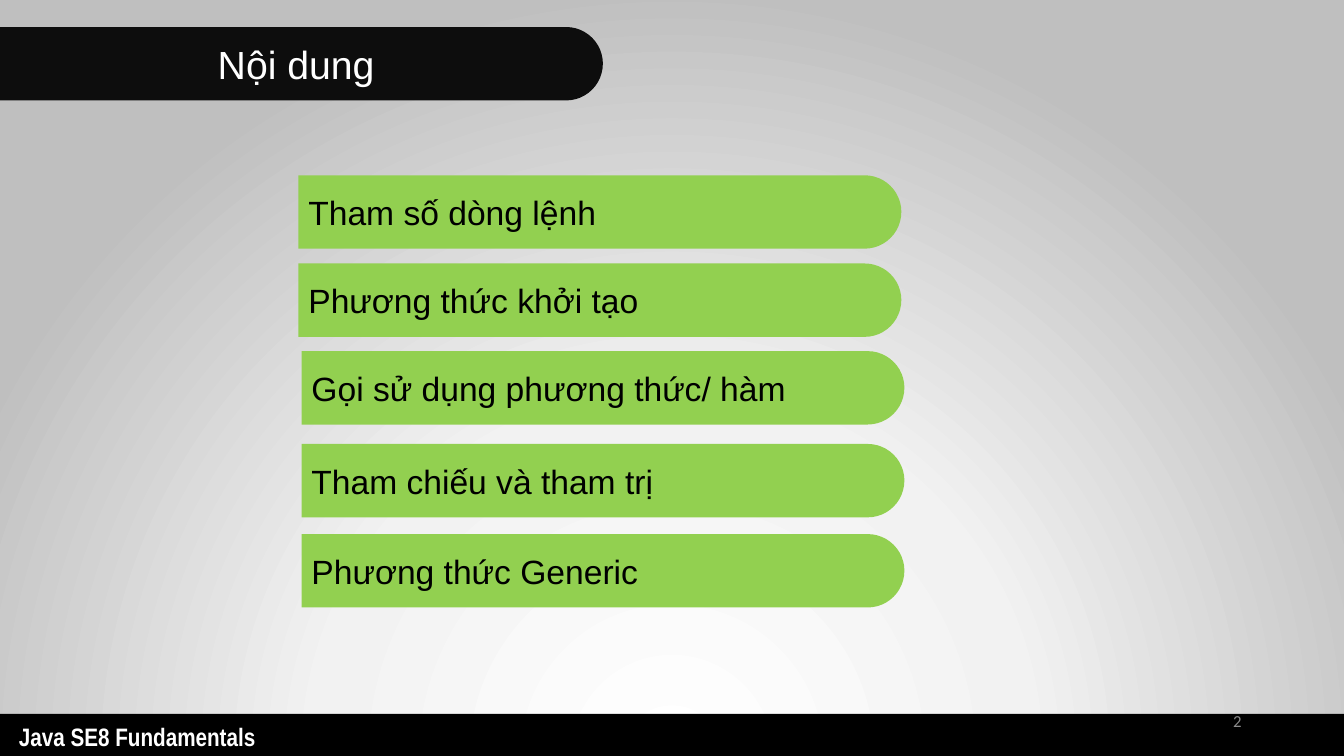
from dataclasses import dataclass

from pptx import Presentation
from pptx.dml.color import RGBColor as Rgb
from pptx.enum.shapes import MSO_SHAPE as Kind
from pptx.enum.text import MSO_ANCHOR as Anchor, PP_ALIGN as Align
from pptx.oxml import parse_xml
from pptx.oxml.ns import nsdecls, qn
from pptx.util import Pt


@dataclass(frozen=True)
class Theme:
    black: str = "000000"
    ink: str = "0D0D0D"
    green: str = "92D050"
    white: str = "FFFFFF"
    gray: str = "8C8C8C"
    glow: tuple = ((0, "FFFFFF"), (46, "F2F2F2"), (100, "BFBFBF"))
    sans: str = "Arial"
    slim: str = "Arial Narrow"
    plain: str = "Calibri"
    head: int = 28
    item: int = 24
    foot: int = 18
    page: int = 12


class Deck:
    def __init__(self, theme):
        self.theme = theme
        self.prs = Presentation()
        self.prs.slide_width, self.prs.slide_height = Pt(960), Pt(540)
        self.slide = self.prs.slides.add_slide(self.prs.slide_layouts[6])

    def glow(self):
        """Radial background centred below the slide."""
        stops = "".join(
            f'<a:gs pos="{pos * 1000}"><a:srgbClr val="{tint}"/></a:gs>'
            for pos, tint in self.theme.glow)
        fill = parse_xml(
            f'<a:gradFill {nsdecls("a")} rotWithShape="1"><a:gsLst>{stops}</a:gsLst>'
            '<a:path path="circle"><a:fillToRect l="50000" t="130000" '
            'r="50000" b="-30000"/></a:path></a:gradFill>')
        self.slide.background.fill.solid()
        base = self.slide.element.find(".//" + qn("p:bgPr"))
        base.replace(base[0], fill)

    def shape(self, kind, x, y, w, h, tint):
        form = self.slide.shapes.add_shape(kind, Pt(x), Pt(y), Pt(w), Pt(h))
        form.shadow.inherit = False
        form.fill.solid()
        form.fill.fore_color.rgb = Rgb.from_string(tint)
        form.line.fill.background()
        return form

    def text(self, form, words, size, face, tint, bold=False,
             align=Align.LEFT, anchor=Anchor.MIDDLE):
        frame = form.text_frame
        frame.word_wrap = True
        frame.vertical_anchor = anchor
        para = frame.paragraphs[0]
        para.alignment = align
        run = para.add_run()
        run.text = words
        font = run.font
        font.size, font.name, font.bold = Pt(size), face, bold
        font.color.rgb = Rgb.from_string(tint)

    def tab(self, x, y, words, fill, size, tint, align=Align.LEFT):
        """Bar with a round right end: an upright shape on its side."""
        long, thick = 430.6, 52.4
        shift = (long - thick) / 2
        form = self.shape(Kind.ROUND_2_SAME_RECTANGLE,
                          x + shift, y - shift, thick, long, fill)
        form.adjustments[0], form.adjustments[1] = 0.5, 0
        form.rotation = 90
        self.text(form, words, size, self.theme.sans, tint, align=align)
        form.text_frame._txBody.bodyPr.set("vert", "vert270")

    def label(self, x, y, w, h, words, *style, **more):
        box = self.slide.shapes.add_textbox(Pt(x), Pt(y), Pt(w), Pt(h))
        self.text(box, words, *style, **more)


look = Theme()
deck = Deck(look)
deck.glow()

# Footer
deck.shape(Kind.RECTANGLE, 0, 510, 960, 33, look.black)
deck.label(6.5, 512, 236, 29, "Java SE8 Fundamentals", look.foot, look.slim,
           look.white, bold=True, anchor=Anchor.TOP)

# Title
deck.tab(0, 19.3, "Nội dung", look.ink, look.head, look.white, Align.CENTER)

# Topics
topics = (
    (213.2, 125.2, "Tham số dòng lệnh"),
    (213.2, 188.2, "Phương thức khởi tạo"),
    (215.4, 250.8, "Gọi sử dụng phương thức/ hàm"),
    (215.4, 317.1, "Tham chiếu và tham trị"),
    (215.4, 381.5, "Phương thức Generic"),
)
for left, top, words in topics:
    deck.tab(left, top, words, look.green, look.item, look.black)

# Page number
deck.label(678, 500.5, 216, 28.8, "2", look.page, look.plain, look.gray,
           align=Align.RIGHT)

deck.prs.save("out.pptx")
